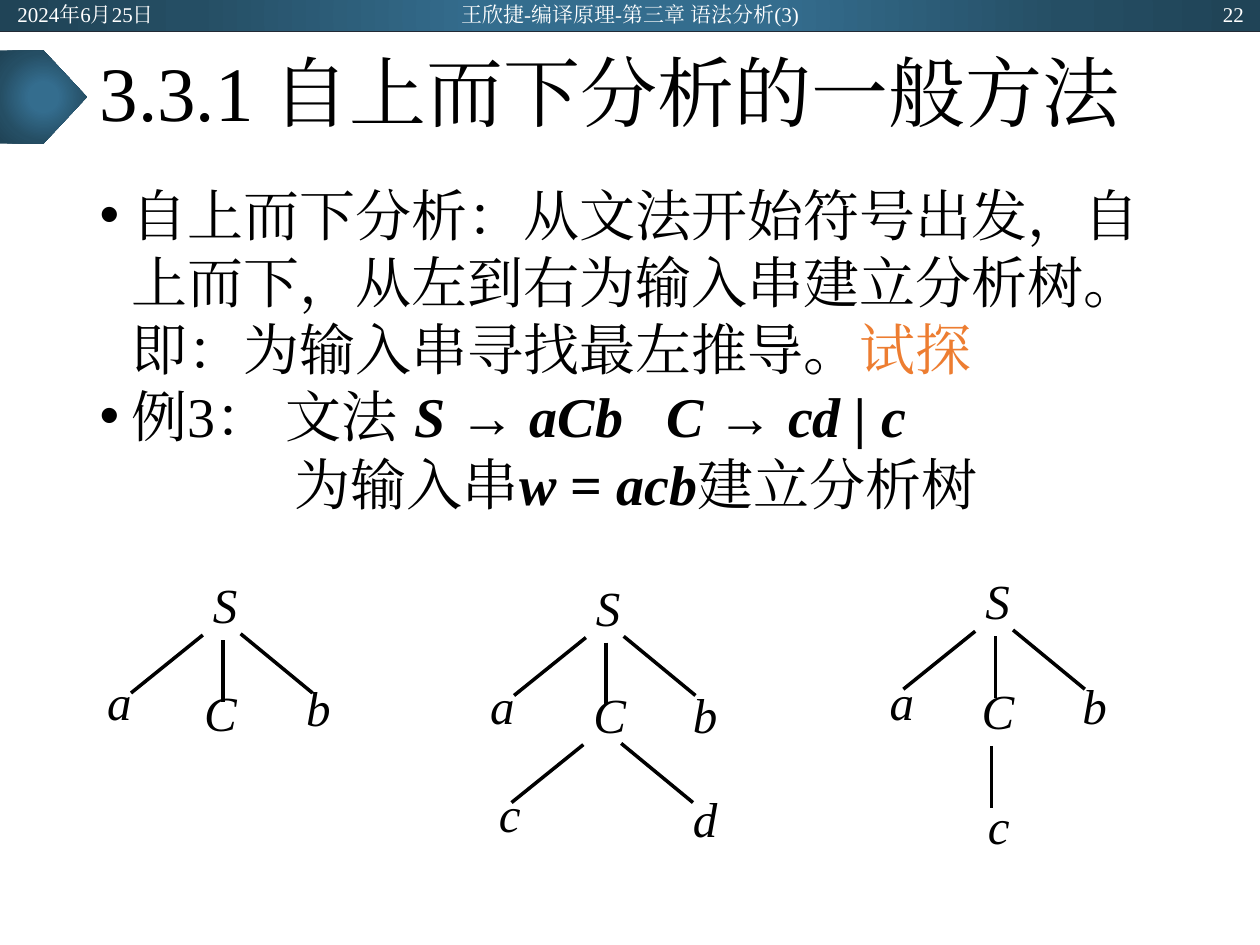
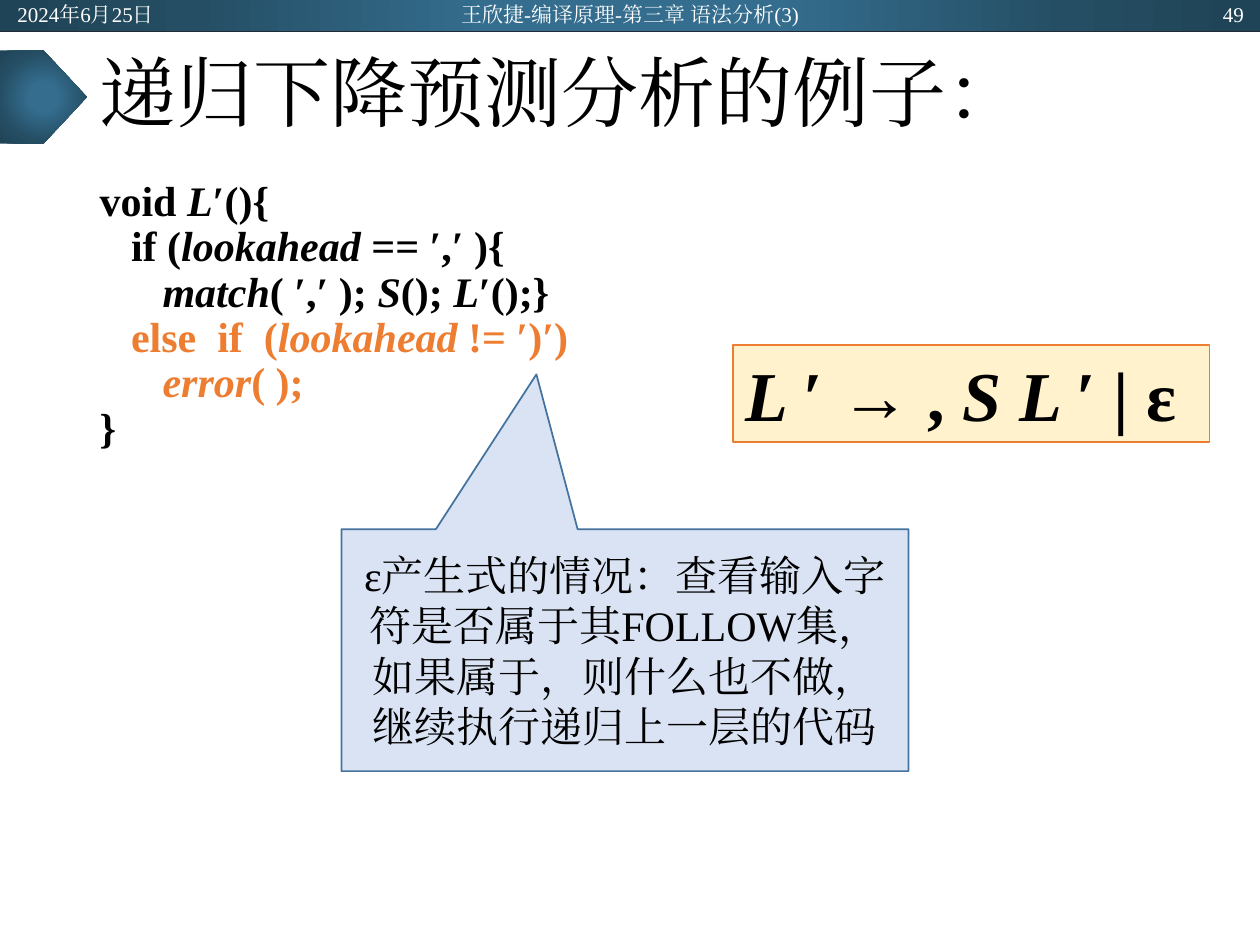
"""Build two slides on top-down parsing."""
from pptx import Presentation
from pptx.enum import shapes, text
from pptx.dml import color
from pptx.oxml import parse_xml
from pptx.oxml import ns
from pptx.util import Inches, Pt

HUES = {"ink": "000000", "white": "FFFFFF", "orange": "ED7D31", "rule": "222A35",
        "cream": "FFF2CC", "pale": "DAE3F3", "blue": "43739E"}
STOPS = [(0, "346D8E"), (23, "346D8E"), (69, "254E64"), (97, "204457")]
FONT = "Times New Roman"
ALIGN = text.PP_ALIGN
MID, TOP = text.MSO_ANCHOR.MIDDLE, text.MSO_ANCHOR.TOP
SHAPE = shapes.MSO_SHAPE

DATE, NAME = "2024年6月25日", "王欣捷-编译原理-第三章 语法分析(3)"
TITLES = [("3.3.1 自上而下分析的一般方法", "22"), ("递归下降预测分析的例子：", "49")]

POINTS = [
    (0.25, True, [("自上而下分析：从文法开始符号出发，自上而下，从左到右为输入串建立分析树。"
                   "即：为输入串寻找最左推导。", ""), ("试探", "o")]),
    (0.25, True, [("例3： 文法\t", ""), ("S ", "bi"), ("→ ", "b"), ("aCb\tC ", "bi"),
                  ("→ ", "b"), ("cd | c", "bi")]),
    (1.55, False, [("为输入串", ""), ("w", "bi"), (" = ", "b"), ("acb", "bi"),
                   ("建立分析树", "")]),
]
CODE = [
    (0, False, [("void ", "b"), ("L", "bi"), ("′(){", "b")]),
    (0.25, False, [("if (", "b"), ("lookahead", "bi"), (" == ′,′ ){", "b")]),
    (0.5, False, [("match", "bi"), ("( ′,′ ); ", "b"), ("S", "bi"), ("(); ", "b"),
                  ("L", "bi"), ("′();}", "b")]),
    (0.25, False, [("else  if  (", "bo"), ("lookahead", "bio"), (" != ′)′)", "bo")]),
    (0.5, False, [("error", "bio"), ("( );", "bo")]),
    (0, False, [("}", "b")]),
]
RULE = [("L ", "bi"), ("′ → , ", "b"), ("S L ", "bi"), ("′ | ε", "b")]
NOTE = [("ε产生式的情况：查看输入字符是否属于其FOLLOW集，如果属于，则什么也不做，"
         "继续执行递归上一层的代码", "")]

TREES = [
    [("S", 1.67, 4.55, "lmr"), ("a", 0.83, 5.32, ""), ("C", 1.6, 5.41, ""),
     ("b", 2.41, 5.37, "")],
    [("S", 4.71, 4.57, "lmr"), ("a", 3.87, 5.35, ""), ("C", 4.69, 5.42, "lr"),
     ("b", 5.48, 5.42, ""), ("c", 3.94, 6.21, ""), ("d", 5.48, 6.25, "")],
    [("S", 7.8, 4.52, "lmr"), ("a", 7.04, 5.32, ""), ("C", 7.77, 5.39, "m"),
     ("b", 8.57, 5.35, ""), ("c", 7.82, 6.3, "")],
]
EDGES = {"l": (-0.06, 0.49, -0.57, 0.46), "m": (0.1, 0.53, 0, 0.49),
         "r": (0.24, 0.48, 0.57, 0.47)}


def rgb(hue):
    return color.RGBColor.from_string(HUES[hue])


def box(*sides):
    return [Inches(side) for side in sides]


def place(item, *sides):
    item.left, item.top, item.width, item.height = box(*sides)


def write(para, runs, size, hue="ink", align=ALIGN.LEFT):
    para.alignment = align
    for words, style in runs:
        run = para.add_run()
        run.text = words
        font = run.font
        font.name, font.size = FONT, Pt(size)
        font.bold, font.italic = "b" in style, "i" in style
        font.color.rgb = rgb("orange" if "o" in style else hue)
        asian = run._r.get_or_add_rPr().makeelement(ns.qn("a:ea"), {"typeface": FONT})
        font._rPr.find(ns.qn("a:latin")).addnext(asian)


def frame(item, anchor, pad=(0.1, 0.05)):
    area = item.text_frame
    area.word_wrap, area.vertical_anchor = True, anchor
    area.auto_size = text.MSO_AUTO_SIZE.NONE
    area.margin_left = area.margin_right = Inches(pad[0])
    area.margin_top = area.margin_bottom = Inches(pad[1])
    return area


def label(host, sides, words, size, hue="ink", align=ALIGN.LEFT, anchor=MID, pad=(0.1, 0.05)):
    area = frame(host.add_textbox(*box(*sides)), anchor, pad)
    write(area.paragraphs[0], words, size, hue, align)


def line(host, x, y, dx, dy, hue, width):
    link = host.add_connector(shapes.MSO_CONNECTOR.STRAIGHT, *box(x, y, x + dx, y + dy))
    link.line.color.rgb, link.line.width = rgb(hue), Pt(width)
    props = link._element.spPr
    props.append(props.makeelement(ns.qn("a:effectLst"), {}))


def glow(host, kind, *sides):
    item = host.add_shape(kind, *box(*sides))
    item.shadow.inherit = False
    item.line.fill.background()
    item.fill.background()
    stops = "".join(f'<a:gs pos="{at * 1000}"><a:srgbClr val="{hue}"/></a:gs>'
                    for at, hue in STOPS)
    props = item._element.spPr
    props.replace(props.find(ns.qn("a:noFill")), parse_xml(
        f'<a:gradFill {ns.nsdecls("a")} rotWithShape="1"><a:gsLst>{stops}</a:gsLst>'
        '<a:path path="circle"><a:fillToRect l="50000" t="50000" r="50000" b="50000"/>'
        '</a:path></a:gradFill>'))


def panel(host, kind, sides, fill, edge, runs, size, align, anchor):
    item = host.add_shape(kind, *box(*sides))
    item.shadow.inherit = False
    item.fill.solid()
    item.fill.fore_color.rgb = rgb(fill)
    item.line.color.rgb, item.line.width = rgb(edge), Pt(1)
    write(frame(item, anchor).paragraphs[0], runs, size, align=align)
    return item


def start(deck, title, page):
    slide = deck.slides.add_slide(deck.slide_layouts[1])
    host = slide.shapes
    glow(host, SHAPE.RECTANGLE, 0, 0, 10, 0.25)
    line(host, 0, 0.25, 10, 0, "rule", 0.5)
    glow(host, SHAPE.PENTAGON, 0, 0.4, 0.69, 0.74)
    place(host.title, 0.69, 0.25, 8.62, 1.04)
    head = frame(host.title, MID).paragraphs[0]
    head.line_spacing = 0.9
    write(head, [(title, "")], 44)
    for x, width, words, align in [(0.04, 2.25, DATE, ALIGN.LEFT),
                                   (3.31, 3.38, NAME, ALIGN.CENTER),
                                   (7.72, 2.25, page, ALIGN.RIGHT)]:
        label(host, (x, 0.01, width, 0.2), [(words, "")], 12, "white", align)
    return slide


def fill(slide, rows, size, space, align):
    body = slide.placeholders[1]
    place(body, 0.69, 1.38, 8.62, 5.38)
    area = frame(body, TOP)
    for num, (left, dot, runs) in enumerate(rows):
        para = area.add_paragraph() if num else area.paragraphs[0]
        para.line_spacing, para.space_before = space, Pt(0)
        props = para._p.get_or_add_pPr()
        props.set("marL", str(Inches(left)))
        props.set("indent", str(Inches(-0.25 if dot else 0)))
        mark = props.makeelement(ns.qn("a:buChar" if dot else "a:buNone"),
                                 {"char": "•"} if dot else {})
        props.append(mark)
        write(para, runs, size, align=align)


def draw(slide, nodes):
    host = slide.shapes.add_group_shape().shapes
    for name, x, y, kids in nodes:
        label(host, (x, y, 0.34, 0.55), [(name, "i")], 28, align=ALIGN.JUSTIFY,
              anchor=TOP, pad=(0.02, 0.01))
        for kid in kids:
            dx, dy, wide, tall = EDGES[kid]
            line(host, x + dx, y + dy, wide, tall, "ink", 2)


def main():
    deck = Presentation()
    deck.slide_width, deck.slide_height = box(10, 7.5)
    first, second = [start(deck, *pair) for pair in TITLES]
    fill(first, POINTS, 32, 1.0, ALIGN.LEFT)
    for nodes in TREES:
        draw(first, nodes)
    fill(second, CODE, 24, 0.9, ALIGN.JUSTIFY)
    panel(second.shapes, SHAPE.RECTANGLE, (5.82, 2.74, 3.78, 0.77), "cream", "orange",
          RULE, 40, ALIGN.LEFT, TOP)
    call = panel(second.shapes, SHAPE.RECTANGULAR_CALLOUT, (2.71, 4.2, 4.5, 1.92), "pale",
                 "blue", NOTE, 24, ALIGN.CENTER, MID)
    call.adjustments[0], call.adjustments[1] = -0.156, -1.14
    deck.save("out.pptx")


if __name__ == "__main__":
    main()
